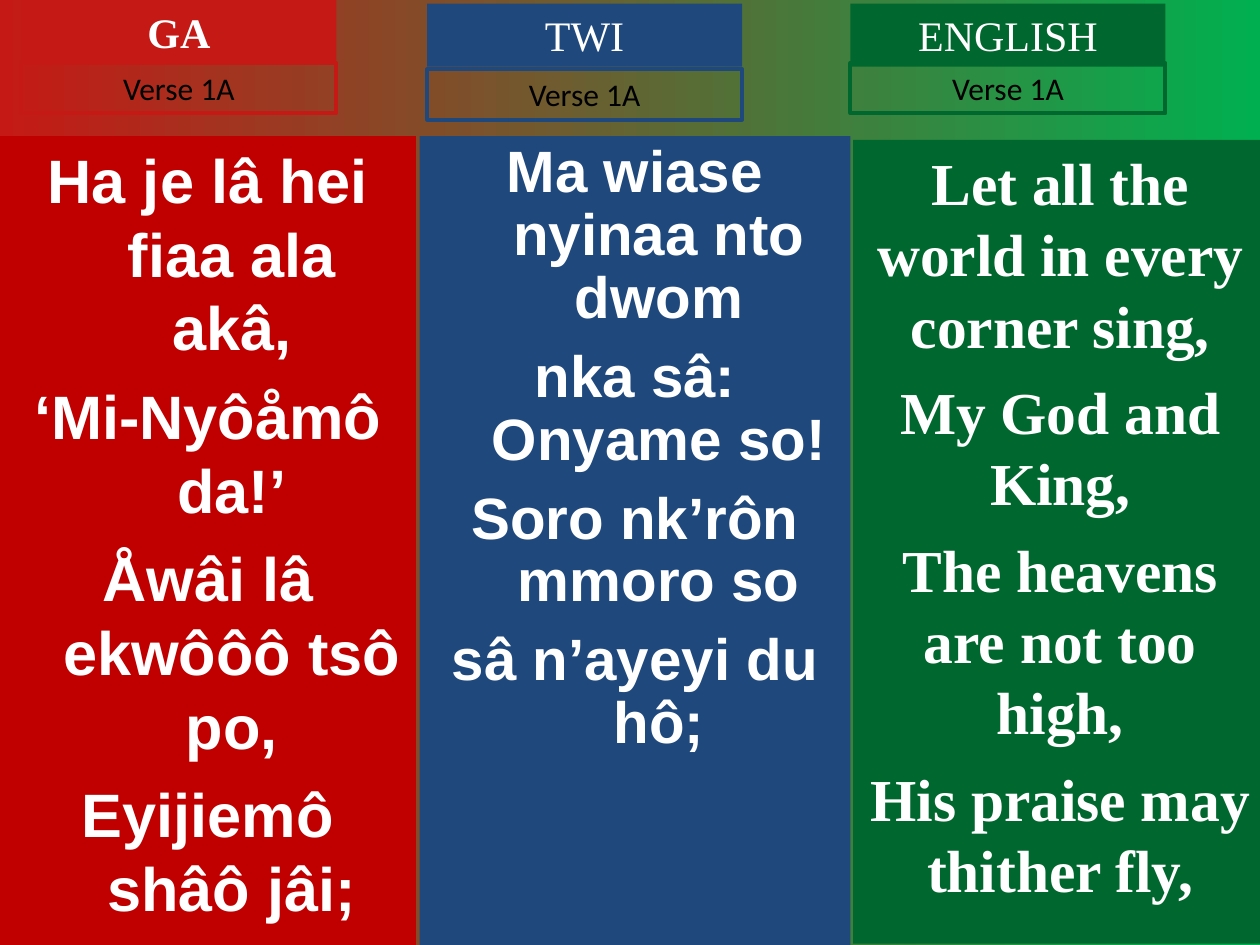
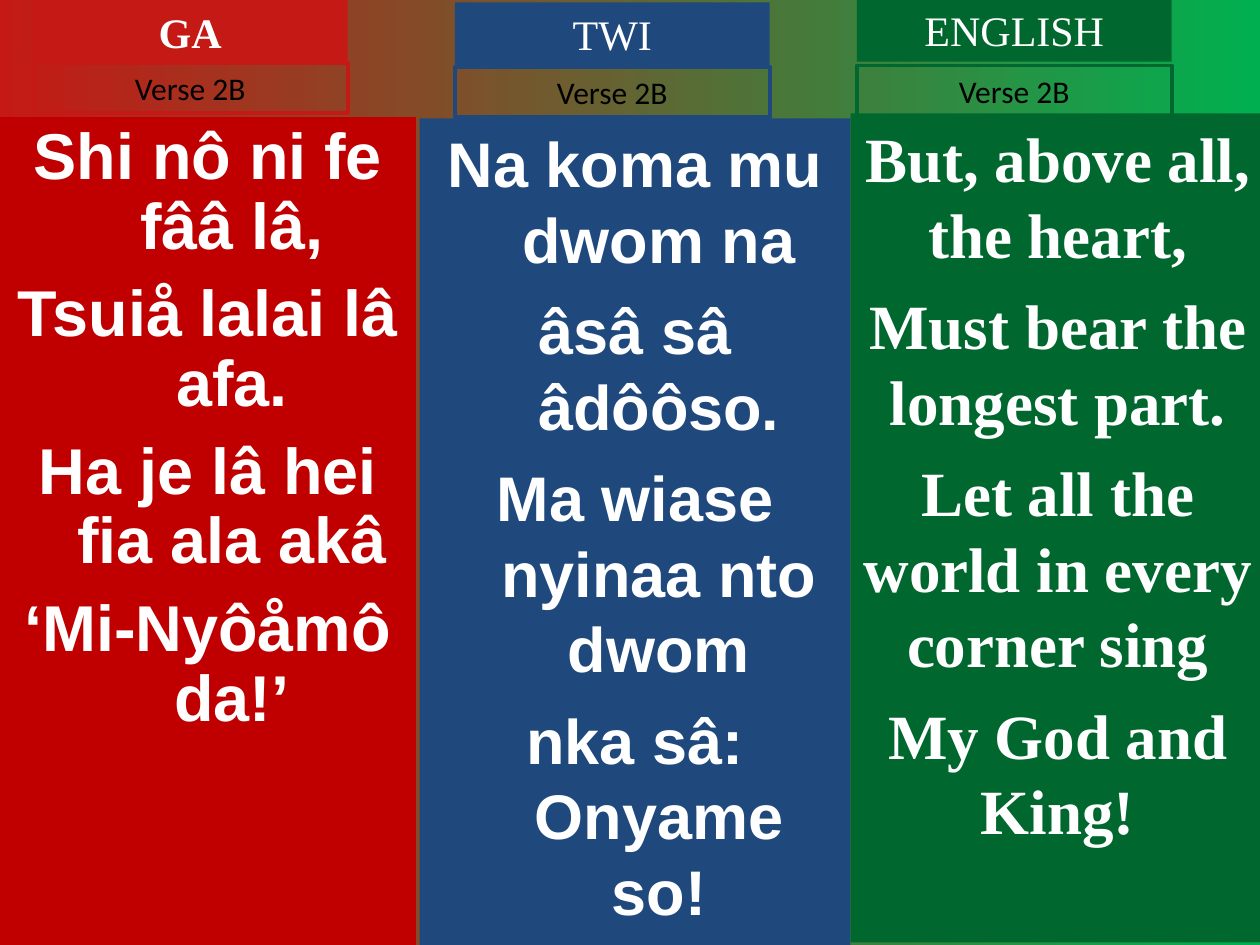
import lxml.etree
import pptx
import pptx.dml.color
import pptx.enum.shapes
import pptx.enum.text
import pptx.oxml.ns
import pptx.util

Inches = pptx.util.Inches
Pt = pptx.util.Pt

COLORS = {
    "ga": "C51915",
    "ga_lyrics": "C00000",
    "twi": "1F497D",
    "english": "00682F",
    "backdrop_end": "00B050",
    "white": "FFFFFF",
    "black": "000000",
}
TWO_CONTENT = 3
HEADING_SIZE = (2.5, 0.5)
VERSE_SIZE = (2.5, 0.4)
HANGING = 0.38

VERSES = [
    {
        "label": "Verse 1A",
        "ga": {
            "lyrics_box": (0, 1.08, 3.3, 6.42), "heading_at": (0.17, 0), "verse_top": 0.5,
            "lines": ["Ha je lâ hei fiaa ala akâ,", "‘Mi-Nyôåmô da!’",
                      "Åwâi lâ ekwôôô tsô po,", "Eyijiemô shâô jâi;"],
            "type": {"size": 35, "before": 8.8},
        },
        "twi": {
            "lyrics_box": (3.33, 1.08, 3.42, 6.42), "heading_at": (3.39, 0.03), "verse_top": 0.55,
            "lines": ["Ma wiase nyinaa nto dwom", "nka sâ: Onyame so!",
                      "Soro nk’rôn mmoro so", "sâ n’ayeyi du hô;"],
            "type": {"size": 33.3, "before": 9, "spacing": 0.9},
        },
        "english": {
            "lyrics_box": (6.77, 1.11, 3.29, 6.38), "heading_at": (6.75, 0.03), "verse_top": 0.5,
            "lines": ["Let all the world in every corner sing,", "My God and King,",
                      "The heavens are not too high,", "His praise may thither fly,"],
            "type": {"size": 34, "before": 8.5},
        },
    },
    {
        "label": "Verse 2B",
        "ga": {
            "lyrics_box": (0, 0.93, 3.3, 6.57), "heading_at": (0.26, 0), "verse_top": 0.5,
            "lines": ["Shi nô ni fe fââ lâ,", "Tsuiå lalai lâ afa.",
                      "Ha je lâ hei fia ala akâ", "‘Mi-Nyôåmô da!’"],
            "type": {"size": 37, "before": 10, "spacing": 0.9},
        },
        "twi": {
            "lyrics_box": (3.33, 0.94, 3.42, 6.56), "heading_at": (3.61, 0.02), "verse_top": 0.53,
            "lines": ["Na koma mu dwom na", "âsâ sâ âdôôso.",
                      "Ma wiase nyinaa nto dwom", "nka sâ: Onyame so!"],
            "type": {"size": 36, "before": 9},
        },
        "english": {
            "lyrics_box": (6.75, 0.9, 3.29, 6.58), "heading_at": (6.8, -0.01), "verse_top": 0.52,
            "lines": ["But, above all, the heart,", "Must bear the longest part.",
                      "Let all the world in every corner sing", "My God and King!"],
            "type": {"size": 36, "before": 9},
        },
    },
]


def rgb(name):
    return pptx.dml.color.RGBColor.from_string(COLORS[name])


def write(shape, lines, size, font, color="white", bold=False,
          before=0, spacing=1.0, hanging=0):
    frame = shape.text_frame
    frame.text = "\n".join(lines)
    frame.word_wrap = True
    frame.auto_size = pptx.enum.text.MSO_AUTO_SIZE.NONE
    frame.vertical_anchor = pptx.enum.text.MSO_ANCHOR.TOP
    frame.margin_left = frame.margin_right = Inches(0.1)
    frame.margin_top = frame.margin_bottom = Inches(0.05)
    for number, paragraph in enumerate(frame.paragraphs):
        properties = paragraph._p.get_or_add_pPr()
        properties.set("marL", str(Inches(hanging)))
        properties.set("indent", str(-Inches(hanging)))
        lxml.etree.SubElement(properties, pptx.oxml.ns.qn("a:buNone"))
        paragraph.alignment = pptx.enum.text.PP_ALIGN.CENTER
        paragraph.line_spacing = spacing
        paragraph.space_before = Pt(before if number else 0)
        for run in paragraph.runs:
            run.font.size = Pt(size)
            run.font.name = font
            run.font.bold = bold
            run.font.color.rgb = rgb(color)


def place_panel(slide, box, fill=None, outline=None, placeholder=None):
    """Place a rectangle, or move the given placeholder, into the box."""
    lengths = [Inches(length) for length in box]
    if placeholder is None:
        panel = slide.shapes.add_shape(
            pptx.enum.shapes.MSO_SHAPE.RECTANGLE, *lengths)
        panel.shadow.inherit = False
    else:
        panel = placeholder
        panel.left, panel.top, panel.width, panel.height = lengths
    if fill:
        panel.fill.solid()
        panel.fill.fore_color.rgb = rgb(fill)
    else:
        panel.fill.background()
    if outline:
        panel.line.color.rgb = rgb(outline)
        panel.line.width = Pt(2.25)
    else:
        panel.line.fill.background()
    return panel


def add_lyrics(slide, column, fill, font, hanging=0, placeholder=None):
    panel = place_panel(slide, column["lyrics_box"], fill, placeholder=placeholder)
    write(panel, column["lines"], font=font, bold=True, hanging=hanging, **column["type"])


def add_heading(slide, column, language, verse_label, placeholder=None):
    """Name the language and, below it, the verse in an outlined box."""
    left, top = column["heading_at"]
    heading = place_panel(slide, (left, top, *HEADING_SIZE), language,
                          placeholder=placeholder)
    write(heading, [language.upper()], 24, "Times New Roman", bold=language == "ga")
    verse = place_panel(slide, (left, column["verse_top"], *VERSE_SIZE), outline=language)
    write(verse, [verse_label], 18, "Calibri", color="black")


def add_verse_slide(deck, verse):
    slide = deck.slides.add_slide(deck.slide_layouts[TWO_CONTENT])
    ga_body, twi_body = slide.placeholders[1], slide.placeholders[2]
    add_lyrics(slide, verse["ga"], "ga_lyrics", "Arial", HANGING, ga_body)
    add_lyrics(slide, verse["twi"], "twi", "Arial", HANGING, twi_body)
    add_lyrics(slide, verse["english"], "english", "Times New Roman")
    add_heading(slide, verse["ga"], "ga", verse["label"], slide.shapes.title)
    for language in ("twi", "english"):
        add_heading(slide, verse[language], language, verse["label"])


def paint_backdrop(master):
    backdrop = master.background.fill
    backdrop.gradient()
    backdrop.gradient_angle = 0
    for stop, color in zip(backdrop.gradient_stops, ("ga", "backdrop_end")):
        stop.color.rgb = rgb(color)


def main():
    deck = pptx.Presentation()
    deck.slide_width, deck.slide_height = Inches(10), Inches(7.5)
    paint_backdrop(deck.slide_master)
    for verse in VERSES:
        add_verse_slide(deck, verse)
    deck.save("out.pptx")


if __name__ == "__main__":
    main()
